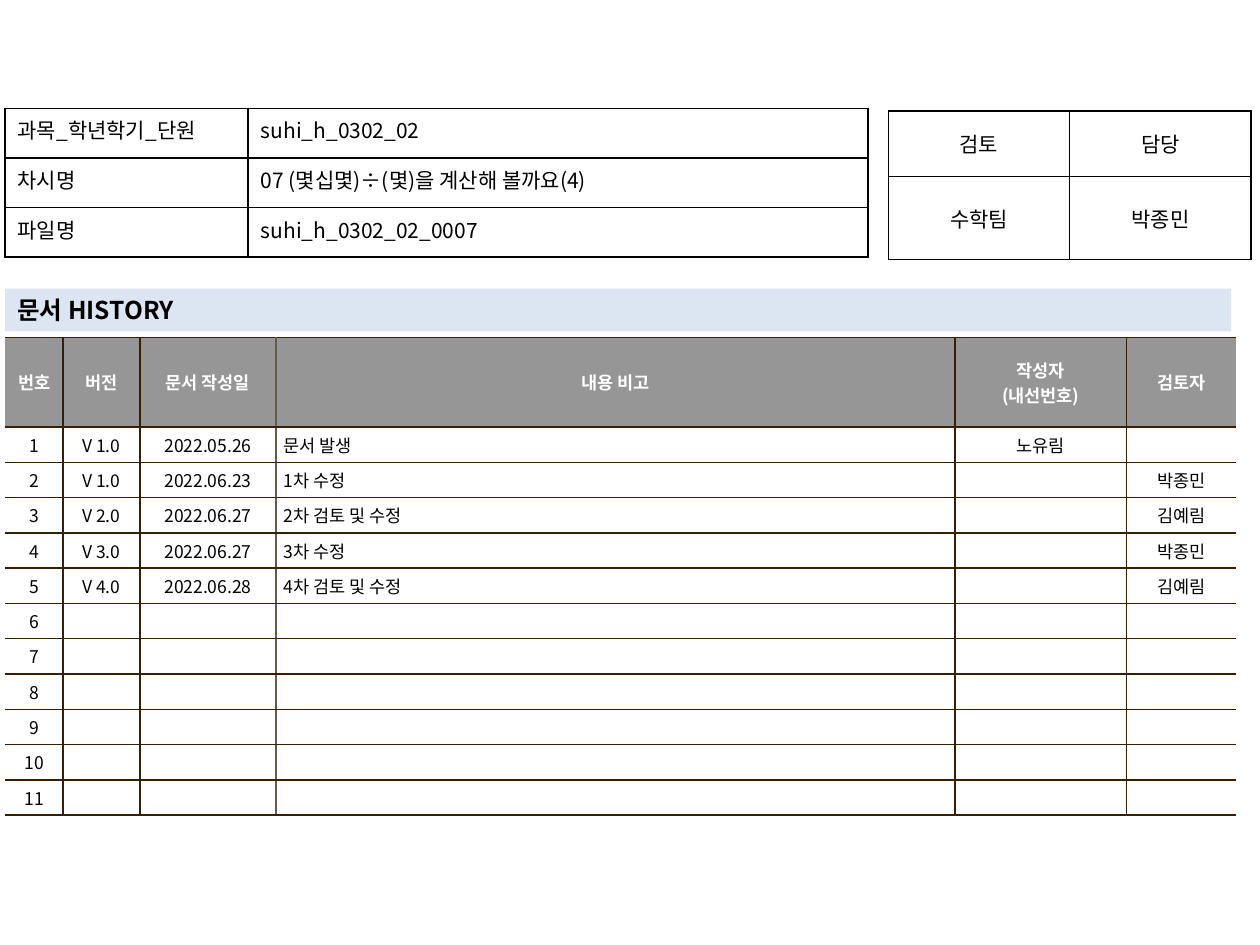
from lxml import etree
from pptx import Presentation
from pptx.dml.color import RGBColor
from pptx.enum.shapes import MSO_SHAPE
from pptx.enum.text import MSO_ANCHOR, PP_ALIGN
from pptx.oxml.ns import qn
from pptx.util import Inches, Pt

LEFT, CENTER, JUSTIFY = PP_ALIGN.LEFT, PP_ALIGN.CENTER, PP_ALIGN.JUSTIFY
TOP, MIDDLE = MSO_ANCHOR.TOP, MSO_ANCHOR.MIDDLE
FONT = "Noto Sans CJK KR"
COLORS = {
    "black": "000000",
    "white": "FFFFFF",
    "header": "969696",
    "title": "DCE6F2",
    "brown": "362000",
    "taupe": "645B4C",
}


def style_text(text_frame, size, color, bold, align):
    for paragraph in text_frame.paragraphs:
        paragraph.alignment = align
        font = paragraph.font
        font.size = Pt(size)
        font.bold = bold
        font.color.rgb = RGBColor.from_string(COLORS[color])
        font.name = FONT
        defaults = paragraph._p.pPr.find(qn("a:defRPr"))
        etree.SubElement(defaults, qn("a:ea"), typeface=FONT)
        if not paragraph.text:  # keeps empty rows from growing
            etree.SubElement(paragraph._p, qn("a:endParaRPr"), sz=str(size * 100))


def fill_cell(cell, text, size, align, anchor, insets, borders,
              fill=None, color="black", bold=False):
    """Borders are colour names for left, right, top and bottom; None hides one."""
    cell.text = text
    cell.vertical_anchor = anchor
    cell.margin_left = cell.margin_right = Inches(insets[0])
    cell.margin_top = cell.margin_bottom = Inches(insets[1])
    style_text(cell.text_frame, size, color, bold, align)
    properties = cell._tc.get_or_add_tcPr()
    for side, border in zip("LRTB", borders):
        line = etree.SubElement(properties, qn(f"a:ln{side}"), w=str(Pt(1)))
        if border:
            solid = etree.SubElement(line, qn("a:solidFill"))
            etree.SubElement(solid, qn("a:srgbClr"), val=COLORS[border])
        else:
            etree.SubElement(line, qn("a:noFill"))
    if fill:
        cell.fill.solid()
        cell.fill.fore_color.rgb = RGBColor.from_string(COLORS[fill])
    else:
        cell.fill.background()


presentation = Presentation()
presentation.slide_width = Inches(10)
presentation.slide_height = Inches(7.5)
slide = presentation.slides.add_slide(presentation.slide_layouts[6])

# Contents of the three tables
history = [
    ["번호", "버전", "문서 작성일", "내용 비고", "작성자\n(내선번호)", "검토자"],
    ["1", "V 1.0", "2022.05.26", "문서 발생", "노유림", ""],
    ["2", "V 1.0", "2022.06.23", "1차 수정", "", "박종민"],
    ["3", "V 2.0", "2022.06.27", "2차 검토 및 수정", "", "김예림"],
    ["4", "V 3.0", "2022.06.27", "3차 수정", "", "박종민"],
    ["5", "V 4.0", "2022.06.28", "4차 검토 및 수정", "", "김예림"],
]
history += [[str(number)] + [""] * 5 for number in range(6, 12)]
review = [["검토", "담당"], ["수학팀", "박종민"]]
document = [
    ["과목_학년학기_단원", "suhi_h_0302_02"],
    ["차시명", "07 (몇십몇)÷(몇)을 계산해 볼까요(4)"],
    ["파일명", "suhi_h_0302_02_0007"],
]

# Table grids: rows of text, left, top, column widths, row heights
grids = {
    "history": (history, 0.04, 2.68, [0.46, 0.61, 1.08, 5.39, 1.36, 0.87],
                [0.71] + [0.28] * 11),
    "review": (review, 7.05, 0.88, [1.44, 1.44], [0.52, 0.66]),
    "document": (document, 0.04, 0.86, [1.93, 4.92], [1.18 / 3] * 3),
}
tables = {}
for name, (rows, left, top, widths, heights) in grids.items():
    table = slide.shapes.add_table(
        len(rows), len(widths), Inches(left), Inches(top),
        Inches(sum(widths)), Inches(sum(heights))).table
    table.first_row = table.horz_banding = False
    for column, width in zip(table.columns, widths):
        column.width = Inches(width)
    for row, height in zip(table.rows, heights):
        row.height = Inches(height)
    tables[name] = table

# History table: open at both sides, taupe line between date and remarks
history_lines = [None, "brown", "brown", "taupe", "brown", "brown", None]
for r, row in enumerate(history):
    for c, text in enumerate(row):
        header = r == 0
        fill_cell(tables["history"].cell(r, c), text, 10,
                  LEFT if c == 3 and not header else CENTER, MIDDLE, (0.06, 0.04),
                  (history_lines[c], history_lines[c + 1], "brown", "brown"),
                  fill="header" if header else "white",
                  color="white" if header else "black", bold=header)

# Review and document tables: plain black grids
for name, aligns, anchor in [("review", (CENTER, CENTER), MIDDLE),
                             ("document", (JUSTIFY, LEFT), TOP)]:
    for r, row in enumerate(grids[name][0]):
        for c, text in enumerate(row):
            fill_cell(tables[name].cell(r, c), text, 12, aligns[c], anchor,
                      (0.1, 0.05), ["black"] * 4)

# History title bar
title_bar = slide.shapes.add_shape(
    MSO_SHAPE.RECTANGLE, Inches(0.04), Inches(2.29), Inches(9.73), Inches(0.34))
title_bar.shadow.inherit = False
title_bar.fill.solid()
title_bar.fill.fore_color.rgb = RGBColor.from_string(COLORS["title"])
title_bar.line.fill.background()
title_bar.text_frame.text = "문서 HISTORY"
title_bar.text_frame.vertical_anchor = TOP
style_text(title_bar.text_frame, 14, "black", True, LEFT)

presentation.save("out.pptx")
